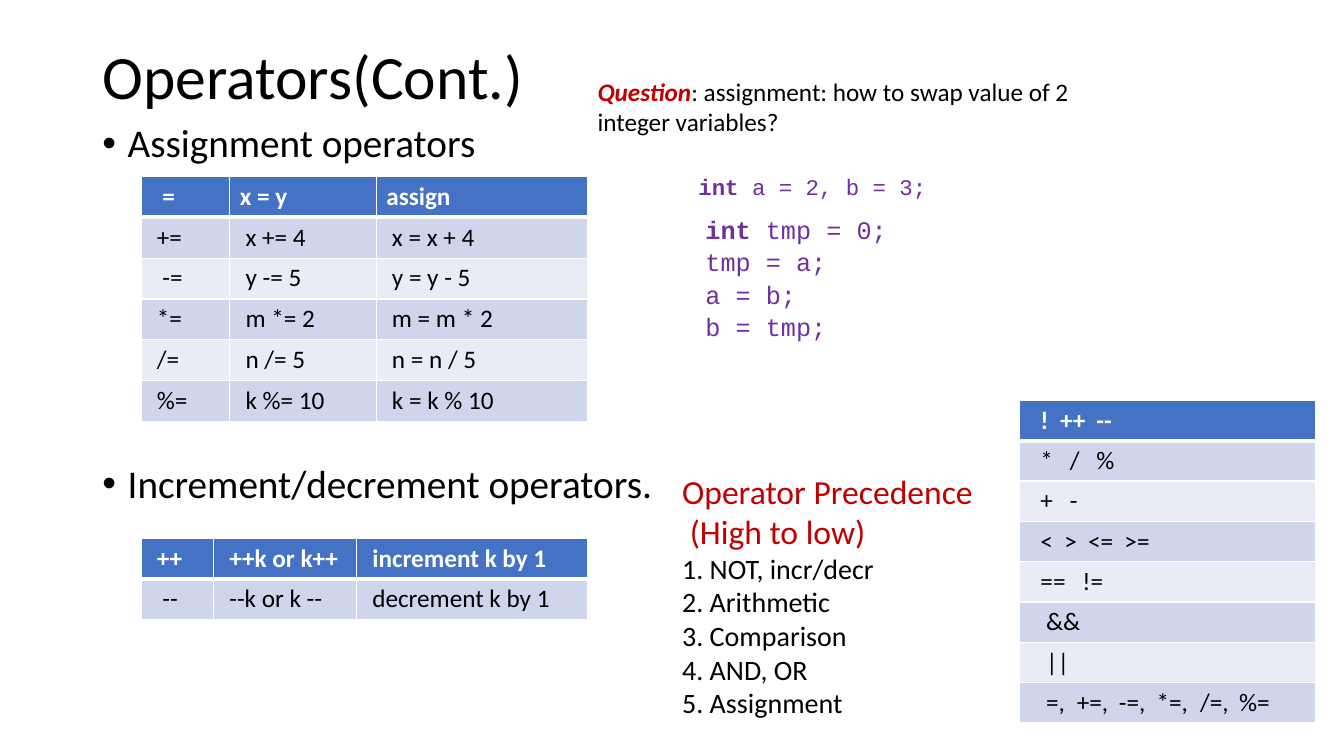
import pptx
import pptx.dml.color
import pptx.enum.text
import pptx.oxml.ns
import pptx.util
from lxml import etree

Pt = pptx.util.Pt
SPACE = 4  # width of one text space in the tables


def colour(value):
    return pptx.dml.color.RGBColor.from_string(value)


def add_element(parent, tag, **attributes):
    return etree.SubElement(parent, pptx.oxml.ns.qn(tag), attributes)


class SlideBuilder:
    SANS, MONO = "Calibri", "Courier New"
    BLACK, WHITE, RED, PURPLE = "000000", "FFFFFF", "C00000", "7030A0"
    HEADER, BANDS = "4472C4", ("CFD5EA", "E9EBF5")

    def __init__(self, presentation):
        self.slide = presentation.slides.add_slide(presentation.slide_layouts[1])

    def set_font(self, font, size, color=BLACK, name=SANS, bold=False):
        font.name, font.size, font.bold = name, Pt(size), bold
        font.color.rgb = colour(color)

    def place(self, shape, left, top, width, height):
        shape.left, shape.top = Pt(left), Pt(top)
        shape.width, shape.height = Pt(width), Pt(height)
        frame = shape.text_frame
        frame.word_wrap = True
        frame.auto_size = pptx.enum.text.MSO_AUTO_SIZE.NONE
        return frame

    def title(self, text, *box):
        frame = self.place(self.slide.shapes.title, *box)
        frame.vertical_anchor = pptx.enum.text.MSO_ANCHOR.MIDDLE
        frame.text = text
        paragraph = frame.paragraphs[0]
        paragraph.alignment = pptx.enum.text.PP_ALIGN.LEFT
        paragraph.line_spacing = 0.9
        self.set_font(paragraph.font, 44)

    def bullets(self, items, gap, *box):
        frame = self.place(self.slide.placeholders[1], *box)
        frame.text = "\n".join(items)
        for index, paragraph in enumerate(frame.paragraphs):
            properties = paragraph._p.get_or_add_pPr()
            properties.set("marL", str(Pt(18)))
            properties.set("indent", str(-Pt(18)))
            paragraph.line_spacing = 0.9
            paragraph.space_before = Pt(gap if index else 0)
            add_element(properties, "a:buFont", typeface="Arial")
            add_element(properties, "a:buChar", char="•")
            self.set_font(paragraph.font, 28)

    def text_box(self, *box):
        return self.place(self.slide.shapes.add_textbox(*map(Pt, box)), *box)

    def line(self, frame, text, size, color=BLACK, name=SANS, keyword="",
             indent=0, before=0):
        """Add one paragraph, led by an optional bold keyword."""
        paragraph = frame.paragraphs[0]
        if paragraph.runs:
            paragraph = frame.add_paragraph()
        paragraph._p.get_or_add_pPr().set("marL", str(Pt(indent)))
        paragraph.space_before = Pt(before)
        self.set_font(paragraph.font, size, color, name)
        if keyword:
            run = paragraph.add_run()
            run.text = keyword
            run.font.bold = True
        paragraph.add_run().text = text
        return paragraph

    def borders(self, cell, row):
        widths = {"L": 1, "R": 1, "T": 3 if row == 1 else 1, "B": 1 if row else 3}
        properties = cell._tc.get_or_add_tcPr()
        for side, width in widths.items():
            border = add_element(properties, "a:ln" + side, w=str(Pt(width)))
            fill = add_element(border, "a:solidFill")
            add_element(fill, "a:srgbClr", val=self.WHITE)

    def table(self, rows, left, top, widths, row_height, spaces=1,
              exceptions=None, tab_stops=None):
        """Indents are counted in spaces; tab stops are given per row."""
        shape = self.slide.shapes.add_table(
            len(rows), len(widths), Pt(left), Pt(top),
            Pt(sum(widths)), Pt(row_height * len(rows)))
        table = shape.table
        for column, width in zip(table.columns, widths):
            column.width = Pt(width)
        for row, texts in enumerate(rows):
            table.rows[row].height = Pt(row_height)
            for column, text in enumerate(texts):
                cell = table.cell(row, column)
                indent = (exceptions or {}).get((row, column), spaces)
                cell.margin_left = Pt(7.2 + indent * SPACE)
                cell.margin_top = cell.margin_bottom = Pt(3.4)
                self.borders(cell, row)
                cell.fill.solid()
                cell.fill.fore_color.rgb = colour(
                    self.BANDS[(row - 1) % 2] if row else self.HEADER)
                cell.text = text
                paragraph = cell.text_frame.paragraphs[0]
                if tab_stops and tab_stops[row]:
                    tabs = add_element(paragraph._p.get_or_add_pPr(), "a:tabLst")
                    for stop in tab_stops[row]:
                        add_element(tabs, "a:tab", pos=str(Pt(stop)), algn="l")
                self.set_font(paragraph.font, 18,
                              self.BLACK if row else self.WHITE, bold=row == 0)


def main():
    presentation = pptx.Presentation()
    presentation.slide_width, presentation.slide_height = Pt(960), Pt(540)
    builder = SlideBuilder(presentation)

    # Title and list
    builder.title("Operators(Cont.)", 66, 28.8, 828, 56.2)
    builder.bullets(["Assignment operators", "Increment/decrement operators."],
                    213, 66, 85, 430.5, 401)

    # Assignment and increment tables
    assignment = [("=", "x = y", "assign"),
                  ("+=", "x += 4", "x = x + 4"),
                  ("-=", "y -= 5", "y = y - 5"),
                  ("*=", "m *= 2", "m = m * 2"),
                  ("/=", "n /= 5", "n = n / 5"),
                  ("%=", "k %= 10", "k = k % 10")]
    builder.table(assignment, 100.8, 126, (63.4, 104.6, 151), 29.2,
                  exceptions={(0, 0): 2, (0, 1): 0, (0, 2): 0, (2, 0): 2})
    increment = [("++", "++k or k++", "increment k by 1"),
                 ("--", "--k or k --", "decrement k by 1")]
    builder.table(increment, 100.8, 384.5, (51.8, 102.2, 165), 29.2,
                  exceptions={(1, 0): 2})

    # Precedence list and table
    frame = builder.text_box(480.2, 332.6, 240, 192)
    builder.line(frame, "Operator Precedence", 24, builder.RED)
    builder.line(frame, "(High to low)", 24, builder.RED, indent=5.4)
    for text in ("1. NOT, incr/decr", "2. Arithmetic", "3. Comparison",
                 "4. AND, OR", "5. Assignment"):
        builder.line(frame, text, 20)
    precedence = [("!\t++\t--", (14, 40)),
                  ("*\t/\t%", (21, 40)),
                  ("+\t-", (21,)),
                  ("<\t>\t<=\t>=", (17, 34, 60)),
                  ("==\t!=", (30,)),
                  ("&&", ()),
                  ("||", ()),
                  ("=,\t+=,\t-=,\t*=,\t/=,\t%=", (22, 52, 79, 110, 138))]
    builder.table([(text,) for text, stops in precedence], 728, 286, (211.7,), 28.8,
                  spaces=2, exceptions={(row, 0): 3 for row in (5, 6, 7)},
                  tab_stops=[stops for text, stops in precedence])

    # Question and code
    frame = builder.text_box(419.8, 51.1, 404.6, 94.3)
    question = builder.line(
        frame, ": assignment: how to swap value of 2 integer variables?", 18,
        keyword="Question")
    question.runs[0].font.italic = True
    question.runs[0].font.color.rgb = colour(builder.RED)
    builder.line(frame, "a = 2, b = 3;", 16, builder.PURPLE, builder.MONO,
                 keyword="int ", indent=72, before=26)
    frame = builder.text_box(496.8, 149.8, 211.7, 94.3)
    for keyword, text in (("int ", "tmp = 0;"), ("", "tmp = a;"),
                          ("", "a = b;"), ("", "b = tmp;")):
        builder.line(frame, text, 18, builder.PURPLE, builder.MONO, keyword=keyword,
                     before=0 if keyword else 1.3)

    presentation.save("out.pptx")


if __name__ == "__main__":
    main()
